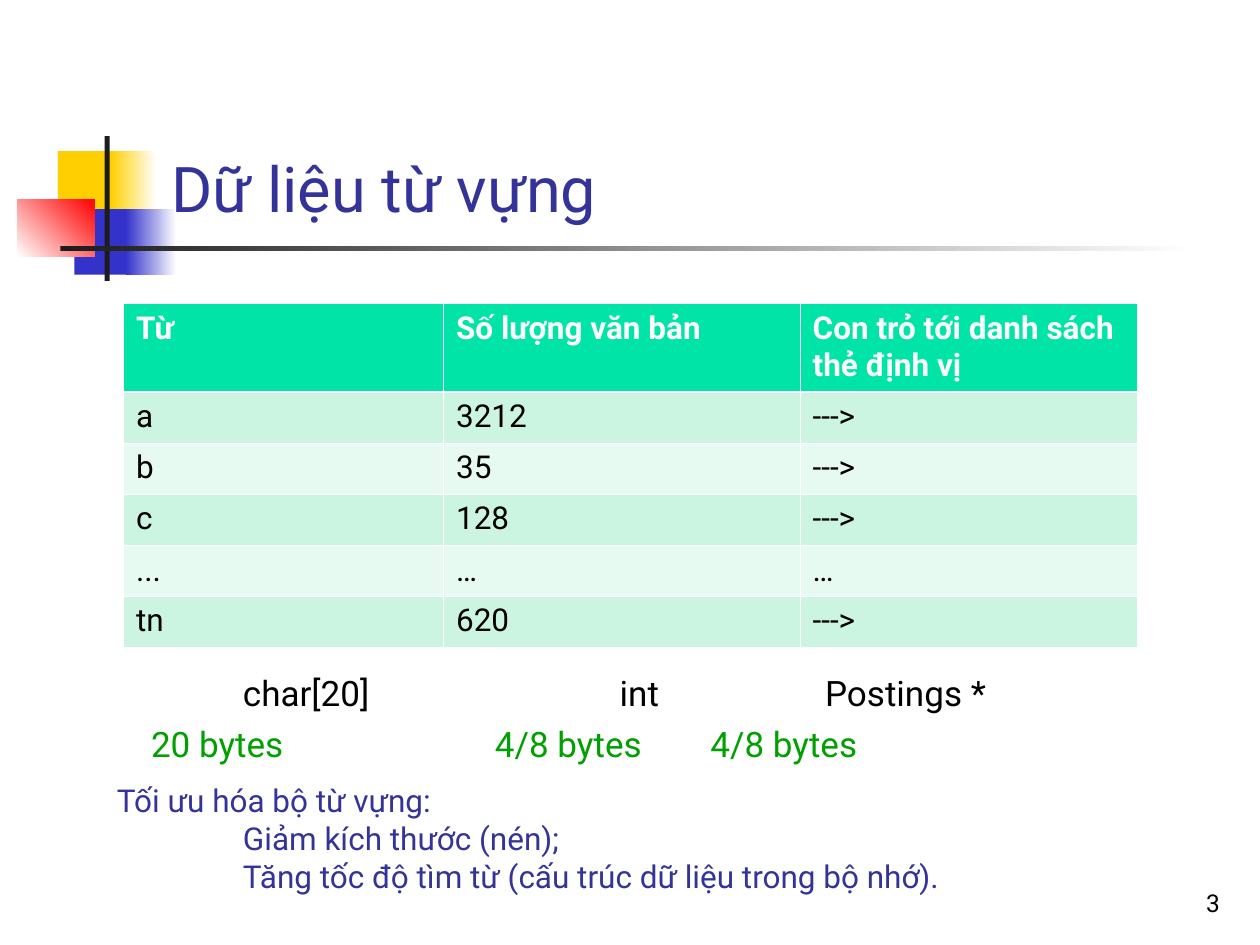
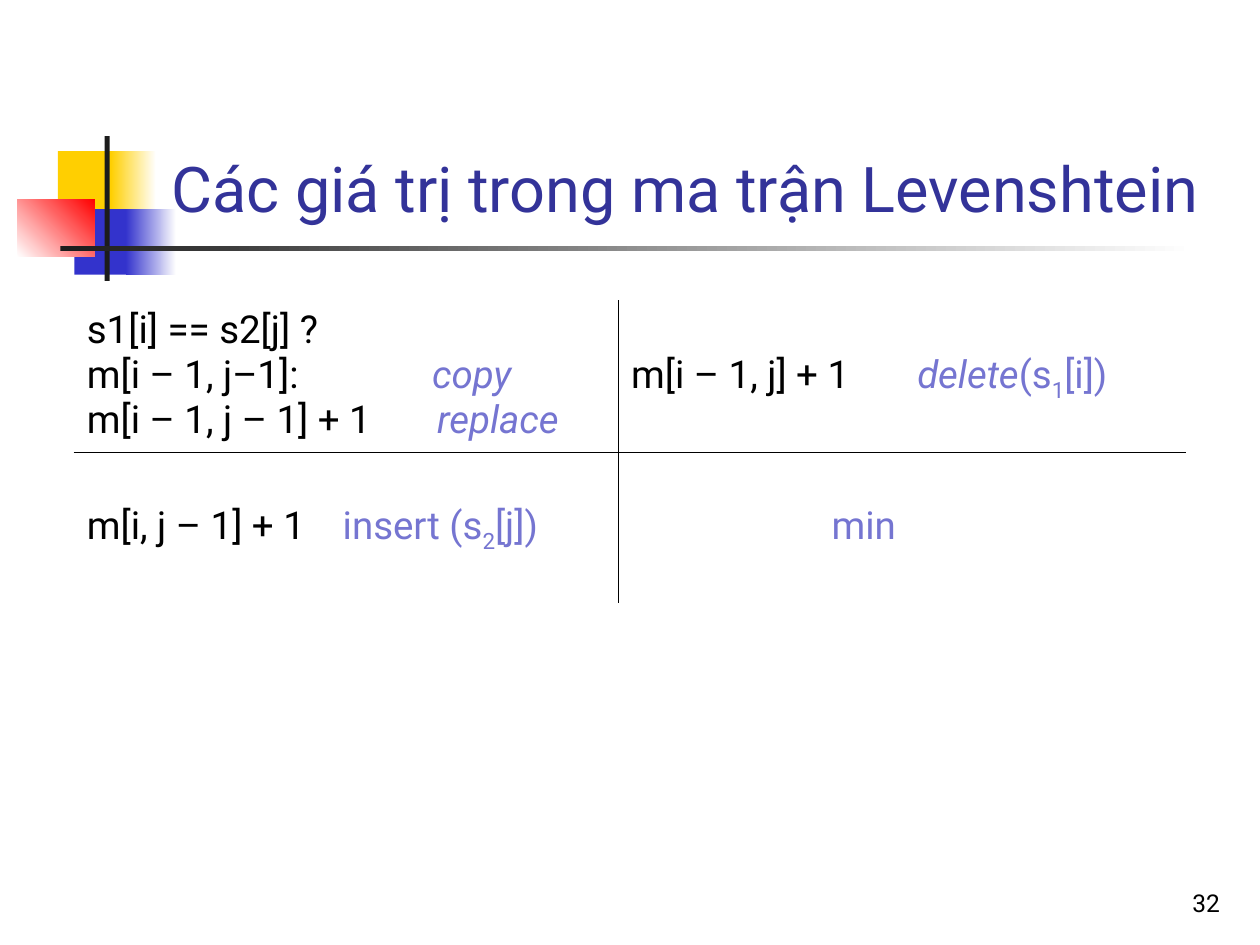
from dataclasses import dataclass
from typing import Optional

import pptx
import pptx.dml.color
import pptx.enum.shapes
import pptx.enum.text
import pptx.oxml.ns
import pptx.util
from lxml import etree

Inches = pptx.util.Inches
Pt = pptx.util.Pt
PP_ALIGN = pptx.enum.text.PP_ALIGN
ANCHOR = pptx.enum.text.MSO_ANCHOR

FONT = "Roboto"
TITLE_ONLY = 5
NAVY, VIOLET, GREEN = "333399", "7575D1", "00A000"
BLACK, WHITE, INK = "000000", "FFFFFF", "1C1C1C"
YELLOW, BLUE, RED = "FFCF01", "3333CC", "FF0000"
HEADER, BAND_DARK, BAND_LIGHT = "00E4A8", "CBF5E1", "E7FAF1"
THIN, THICK = 0.45, 1.47


@dataclass
class Block:
    """A decorative rectangle; with an end colour it becomes a gradient."""
    left: float
    top: float
    width: float
    height: float
    start: str
    end: Optional[str] = None
    angle: float = 0


@dataclass
class Run:
    text: str
    color: Optional[str] = None
    italic: bool = False
    sub: bool = False


@dataclass
class Para:
    runs: list[Run]
    size: float
    color: str = BLACK
    bold: bool = False
    tabs: tuple[float, ...] = ()
    before: float = 0
    align: PP_ALIGN = PP_ALIGN.LEFT


@dataclass
class Matrix:
    """One cell of the Levenshtein matrix."""
    row: int
    col: int
    margin_top: float
    paras: list[Para]


DECORATION = [
    Block(0.46, 1.2, 0.48, 0.52, YELLOW),
    Block(0.88, 1.2, 0.36, 0.52, YELLOW, WHITE),
    Block(0.59, 1.66, 0.46, 0.52, BLUE),
    Block(1, 1.66, 0.4, 0.52, BLUE, WHITE),
    Block(0.14, 1.58, 0.61, 0.46, WHITE, RED, 45),
    Block(0.83, 1.08, 0.04, 1.15, INK),
    Block(0.48, 1.95, 9, 0.04, INK, WHITE),
]

VOCABULARY = [
    ("Từ", "Số lượng văn bản", "Con trỏ tới danh sách thẻ định vị"),
    ("a", "3212", "--->"),
    ("b", "35", "--->"),
    ("c", "128", "--->"),
    ("...", "…", "…"),
    ("tn", "620", "--->"),
]


def rgb(color: str) -> pptx.dml.color.RGBColor:
    return pptx.dml.color.RGBColor.from_string(color)


def sub_element(parent, tag: str, **attrs: str):
    return etree.SubElement(parent, pptx.oxml.ns.qn(tag), attrs)


def add_text(tf, paras: list[Para]) -> None:
    tf.word_wrap = True
    for i, para in enumerate(paras):
        p = tf.paragraphs[0] if i == 0 else tf.add_paragraph()
        if para.tabs:
            tab_list = sub_element(p._p.get_or_add_pPr(), "a:tabLst")
            for tab in para.tabs:
                sub_element(tab_list, "a:tab", pos=str(Inches(tab)), algn="l")
        p.alignment = para.align
        p.space_before = Pt(para.before)
        p.font.name = FONT
        p.font.size = Pt(para.size)
        p.font.bold = para.bold
        p.font.color.rgb = rgb(para.color)
        for run in para.runs:
            r = p.add_run()
            r.text = run.text
            if run.color:
                r.font.color.rgb = rgb(run.color)
            if run.italic:
                r.font.italic = True
            if run.sub:
                r._r.get_or_add_rPr().set("baseline", "-25000")


def add_box(s, left: float, top: float, width: float, height: float,
            paras: list[Para], anchor: ANCHOR = ANCHOR.TOP) -> None:
    sp = s.shapes.add_textbox(Inches(left), Inches(top), Inches(width), Inches(height))
    sp.text_frame.vertical_anchor = anchor
    add_text(sp.text_frame, paras)


def add_block(s, block: Block):
    sp = s.shapes.add_shape(
        pptx.enum.shapes.MSO_SHAPE.RECTANGLE, Inches(block.left), Inches(block.top),
        Inches(block.width), Inches(block.height))
    sp.shadow.inherit = False
    sp.line.fill.background()
    if block.end:
        sp.fill.gradient()
        sp.fill.gradient_angle = block.angle
        for stop, color in zip(sp.fill.gradient_stops, (block.start, block.end)):
            stop.color.rgb = rgb(color)
    else:
        sp.fill.solid()
        sp.fill.fore_color.rgb = rgb(block.start)
    return sp


def decorate_master(prs, s) -> None:
    """Draw the decoration on a slide, then move it to the master."""
    tree = prs.slide_master.shapes.element
    for i, block in enumerate(DECORATION):
        element = add_block(s, block).element
        element.nvSpPr.cNvPr.set("id", str(100 + i))
        tree.append(element)


def add_slide(prs, title: str, number: int):
    s = prs.slides.add_slide(prs.slide_layouts[TITLE_ONLY])
    sp = s.shapes.title
    sp.left, sp.top = Inches(1.26), Inches(0.24)
    sp.width, sp.height = Inches(8.52), Inches(1.6)
    sp.text_frame.auto_size = pptx.enum.text.MSO_AUTO_SIZE.NONE
    sp.text_frame.vertical_anchor = ANCHOR.BOTTOM
    add_text(sp.text_frame, [Para([Run(title)], 36, NAVY)])
    add_box(s, 7.7, 6.83, 2.08, 0.5,
            [Para([Run(str(number))], 14, align=PP_ALIGN.RIGHT)], ANCHOR.BOTTOM)
    return s


def add_grid(s, left: float, top: float, cols: list[float], rows: list[float]):
    table = s.shapes.add_table(
        len(rows), len(cols), Inches(left), Inches(top),
        Inches(sum(cols)), Inches(sum(rows))).table
    for col, width in zip(table.columns, cols):
        col.width = Inches(width)
    for row, height in zip(table.rows, rows):
        row.height = Inches(height)
    return table


def set_borders(cell, color: str, **widths: float) -> None:
    """Set the sides L, R, T and B, in that order; call before filling the cell."""
    tcPr = cell._tc.get_or_add_tcPr()
    for side, width in widths.items():
        ln = sub_element(tcPr, f"a:ln{side}", w=str(Pt(width)))
        fill = sub_element(ln, "a:solidFill")
        sub_element(fill, "a:srgbClr", val=color)


def build_vocabulary(prs) -> None:
    s = add_slide(prs, "Dữ liệu từ vựng", 3)
    decorate_master(prs, s)

    add_box(s, 0.83, 5.28, 8.81, 0.85, [
        Para([Run("\tchar[20]\tint\tPostings *")], 20, tabs=(1, 3.99, 5.62)),
        Para([Run("\t20 bytes\t4/8 bytes\t4/8 bytes")], 20, GREEN,
             tabs=(0.27, 3, 4.71), before=5),
    ])

    table = add_grid(s, 0.98, 2.41, [2.54, 2.83, 2.68], [0.7, 0.41, 0.4, 0.41, 0.4, 0.41])
    for i, values in enumerate(VOCABULARY):
        is_header = i == 0
        fill = HEADER if is_header else BAND_DARK if i % 2 else BAND_LIGHT
        for j, value in enumerate(values):
            cell = table.cell(i, j)
            set_borders(cell, WHITE, L=THIN, R=THIN, T=THICK if i == 1 else THIN,
                        B=THICK if is_header else THIN)
            cell.fill.solid()
            cell.fill.fore_color.rgb = rgb(fill)
            add_text(cell.text_frame,
                     [Para([Run(value)], 18, WHITE if is_header else BLACK, is_header)])

    goals = ["Tối ưu hóa bộ từ vựng:", "\tGiảm kích thước (nén);",
             "\tTăng tốc độ tìm từ (cấu trúc dữ liệu trong bộ nhớ)."]
    add_box(s, 0.83, 6.15, 8.82, 1,
            [Para([Run(goal)], 18, NAVY, tabs=(1,)) for goal in goals])


def build_levenshtein(prs) -> None:
    s = add_slide(prs, "Các giá trị trong ma trận Levenshtein", 32)
    table = add_grid(s, 0.59, 2.39, [4.32, 4.5], [1.2, 1.2])
    table.first_row = table.horz_banding = False
    one_line_down = 0.41
    cells = [
        Matrix(0, 0, 0.05, [
            Para([Run("s1[i] == s2[j] ?")], 22),
            Para([Run("m[i – 1, j–1]:\t"), Run("copy", VIOLET, True)], 22, tabs=(2.74,)),
            Para([Run("m[i – 1, j – 1] + 1\t"), Run("replace", VIOLET, True)], 22,
                 tabs=(2.78,)),
        ]),
        Matrix(0, 1, one_line_down, [
            Para([Run("m[i – 1, j] + 1\t"), Run("delete", VIOLET, True), Run("(s", VIOLET),
                  Run("1", VIOLET, sub=True), Run("[i])", VIOLET)], 22, tabs=(2.27,)),
        ]),
        Matrix(1, 0, one_line_down, [
            Para([Run("m[i, j – 1] + 1\t"), Run("insert (s", VIOLET),
                  Run("2", VIOLET, sub=True), Run("[j])", VIOLET)], 22, tabs=(2.03,)),
        ]),
        Matrix(1, 1, one_line_down, [Para([Run("\tmin")], 22, VIOLET, tabs=(1.59,))]),
    ]
    for item in cells:
        cell = table.cell(item.row, item.col)
        inner_sides = {"L" if item.col else "R": THIN, "T" if item.row else "B": THIN}
        set_borders(cell, BLACK, **inner_sides)
        cell.fill.background()
        cell.margin_top = Inches(item.margin_top)
        add_text(cell.text_frame, item.paras)


def main() -> None:
    prs = pptx.Presentation()
    prs.slide_width, prs.slide_height = Inches(10), Inches(7.5)
    build_vocabulary(prs)
    build_levenshtein(prs)
    prs.save("out.pptx")


if __name__ == "__main__":
    main()
